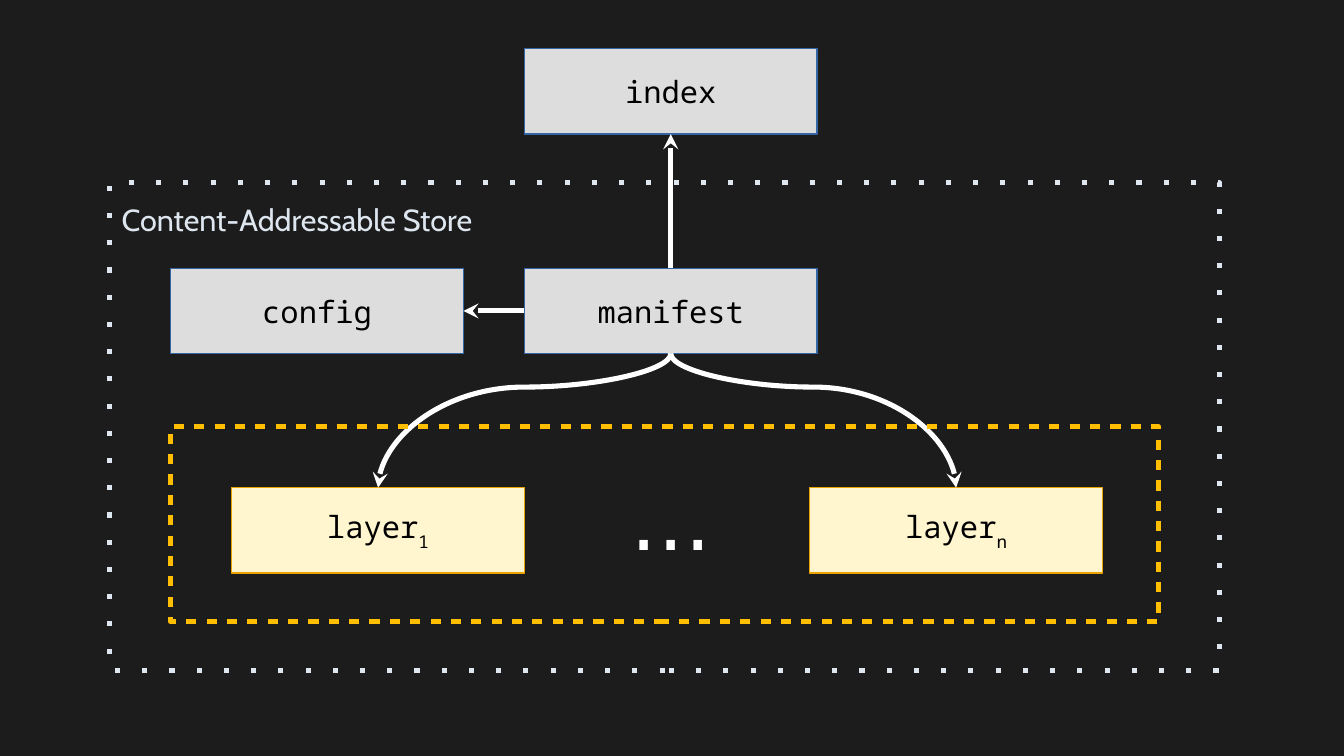
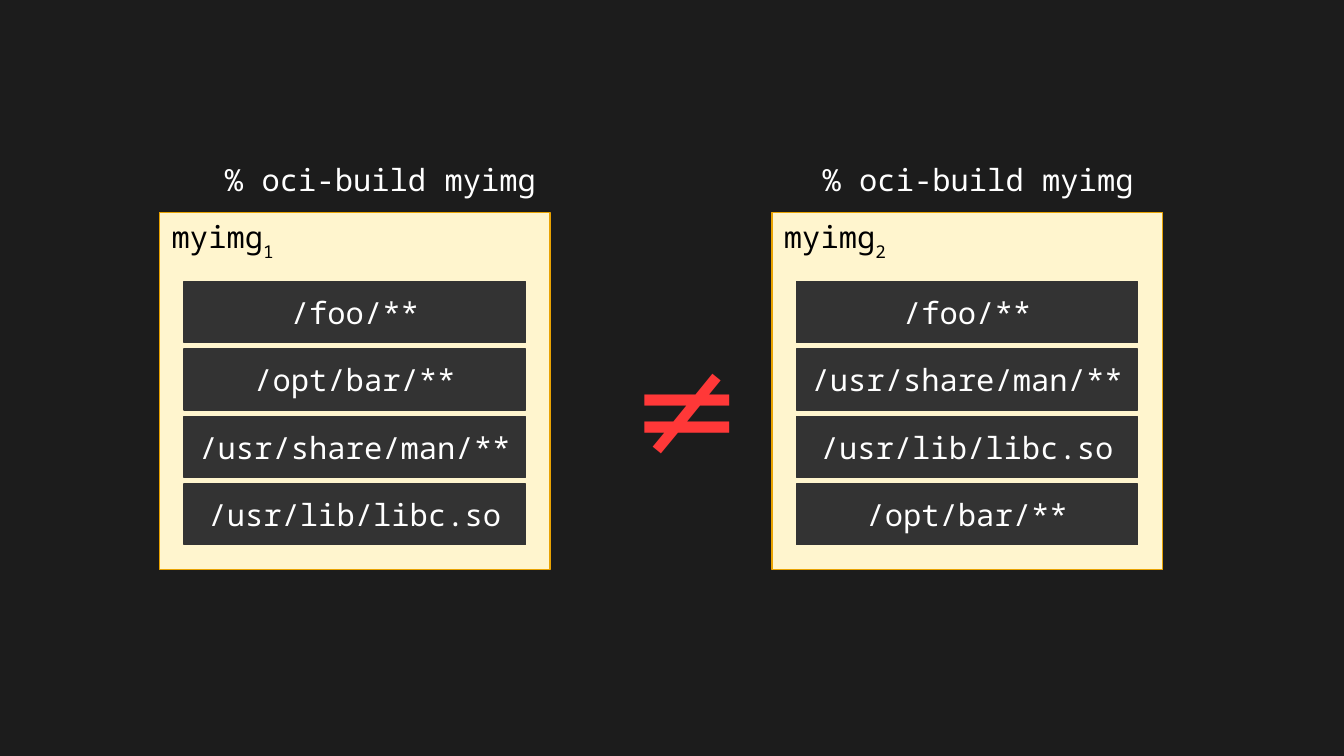
import pptx
import pptx.util
import pptx.dml.color
import pptx.enum.shapes
import pptx.enum.text
import pptx.oxml
import pptx.oxml.ns

COLORS = {
    "back": "1C1C1C", "grey": "DDDDDD", "blue": "3465A4", "cream": "FFF5CE",
    "gold": "E8A202", "amber": "FFBF00", "pale": "DEE6EF", "dark": "333333",
    "black": "000000", "white": "FFFFFF", "red": "FF3838",
}
INK = {key: pptx.dml.color.RGBColor.from_string(val) for key, val in COLORS.items()}
CELL = pptx.util.Inches(0.1)  # grid of 110.2 columns by 62 rows
MONO = "Noto Sans Mono"
XMLNS = pptx.oxml.ns.nsdecls("a")
ALIGN = pptx.enum.text.PP_ALIGN
ANCHOR = pptx.enum.text.MSO_ANCHOR
FIT = pptx.enum.text.MSO_AUTO_SIZE
LINK = pptx.enum.shapes.MSO_CONNECTOR


def put(slide, at, text="", sub="", fill=None, line=None, width=0, gap=None,
        ink="black", font=MONO, size=18, align=ALIGN.CENTER,
        anchor=ANCHOR.MIDDLE, wrap=False, grow=False):
    """Place a box or plain text on the grid; gap is (dash, space) in line widths."""
    place = [round(n * CELL) for n in at]
    if fill or line:
        shape = slide.shapes.add_shape(pptx.enum.shapes.MSO_SHAPE.RECTANGLE, *place)
        shape.shadow.inherit = False
        if fill:
            shape.fill.solid()
            shape.fill.fore_color.rgb = INK[fill]
        else:
            shape.fill.background()
        shape.line.color.rgb = INK[line]
        shape.line.width = pptx.util.Pt(width)
        if gap:
            dash, space = (round(n * 100000) for n in gap)
            shape.line._get_or_add_ln().append(pptx.oxml.parse_xml(
                f'<a:custDash {XMLNS}><a:ds d="{dash}" sp="{space}"/></a:custDash>'))
    else:
        shape = slide.shapes.add_textbox(*place)
    if not text:
        return shape
    frame = shape.text_frame
    look = {"word_wrap": wrap, "vertical_anchor": anchor,
            "auto_size": FIT.SHAPE_TO_FIT_TEXT if grow else FIT.NONE}
    for key, val in look.items():
        setattr(frame, key, val)
    para = frame.paragraphs[0]
    para.alignment = align
    for word in filter(None, (text, sub)):
        run = para.add_run()
        run.text = word
        for key, val in {"name": font, "size": pptx.util.Pt(size)}.items():
            setattr(run.font, key, val)
        run.font.color.rgb = INK[ink]
        if word == sub:
            run._r.get_or_add_rPr().set("baseline", "-33000")
    return shape


def link(slide, kind, start, side, end, stop):
    """Join two boxes with a white arrow."""
    wire = slide.shapes.add_connector(kind, 0, 0, 0, 0)
    wire.begin_connect(start, side)
    wire.end_connect(end, stop)
    wire.line.color.rgb = INK["white"]
    wire.line.width = pptx.util.Pt(3)
    wire.line._get_or_add_ln().append(
        pptx.oxml.parse_xml(f'<a:tailEnd {XMLNS} type="stealth"/>'))
    props = wire._element.spPr
    props.append(pptx.oxml.parse_xml(f"<a:effectLst {XMLNS}/>"))
    if kind == LINK.CURVE:
        # A curve that leaves downwards is a sideways curve turned a quarter
        wide, high = wire.width, wire.height
        left = wire.end_x < wire.begin_x
        spot = {"left": wire.left + (wide - high) // 2,
                "top": wire.top + (high - wide) // 2,
                "width": high, "height": wide}
        for key, val in spot.items():
            setattr(wire, key, val)
        turn = props.find(pptx.oxml.ns.qn("a:xfrm"))
        turn.set("rot", str((90 if left else 270) * 60000))
        turn.set("flipH", "0" if left else "1")
        bend = props.find(pptx.oxml.ns.qn("a:prstGeom"))
        bend.find(pptx.oxml.ns.qn("a:avLst")).append(
            pptx.oxml.parse_xml(f'<a:gd {XMLNS} name="adj1" fmla="val 25000"/>'))


deck = pptx.Presentation()
deck.slide_width, deck.slide_height = round(110.2 * CELL), 62 * CELL
ground = deck.slide_master.background.fill
ground.solid()
ground.fore_color.rgb = INK["back"]
blank = deck.slide_layouts[6]

# Slide 1: nodes
tree = deck.slides.add_slide(blank)
plain = {"fill": "grey", "line": "blue"}
layer = {"fill": "cream", "line": "gold"}
nodes = {}
for name, sub, col, row, look in (
        ("index", "", 43, 4, plain), ("manifest", "", 43, 22, plain),
        ("config", "", 14, 22, plain),
        ("layer", "1", 19, 40, layer), ("layer", "n", 66.4, 40, layer)):
    nodes[name + sub] = put(tree, (col, row, 24, 7), name, sub, **look)

# Arrows out of the manifest
for kind, side, name, stop in (
        (LINK.CURVE, 2, "layer1", 0), (LINK.STRAIGHT, 1, "config", 3),
        (LINK.CURVE, 2, "layern", 0), (LINK.STRAIGHT, 0, "index", 2)):
    link(tree, kind, nodes["manifest"], side, nodes[name], stop)

# Layer group and store
put(tree, (46, 40, 18, 7), "…", ink="white", font="DejaVu Sans", size=48,
    anchor=ANCHOR.BOTTOM)
put(tree, (14, 35, 81, 16), line="amber", width=3, gap=(2, 2))
put(tree, (9, 15, 91, 40), line="pale", width=3, gap=(1, 4.35))
put(tree, (9, 16, 91, 4.4), "Content-Addressable Store", ink="pale", font="Cabin",
    align=ALIGN.LEFT, anchor=ANCHOR.TOP, wrap=True, grow=True)

# Slide 2: two builds with their files
pair = deck.slides.add_slide(blank)
builds = (
    ("1", 13.1, 14.7, ("/foo/**", "/opt/bar/**", "/usr/share/man/**", "/usr/lib/libc.so")),
    ("2", 63.3, 63.7, ("/foo/**", "/usr/share/man/**", "/usr/lib/libc.so", "/opt/bar/**")),
)
for sub, col, head, files in builds:
    put(pair, (col, 17.4, 32, 29.3), "myimg", sub, align=ALIGN.LEFT,
        anchor=ANCHOR.TOP, **layer)
    put(pair, (head, 12.7, 33, 4.7), "% oci-build myimg", ink="white",
        anchor=ANCHOR.TOP, wrap=True, grow=True)
    for row, name in enumerate(files):
        put(pair, (col + 2, 23.1 + row * 5.53, 28, 5), name, fill="dark",
            line="dark", ink="white")

# Not-equal sign between them
put(pair, (50.7, 25.8, 8.3, 16.1), "≠", ink="red", font="Cabin", size=80,
    align=ALIGN.LEFT, anchor=ANCHOR.TOP, grow=True)

deck.save("out.pptx")
